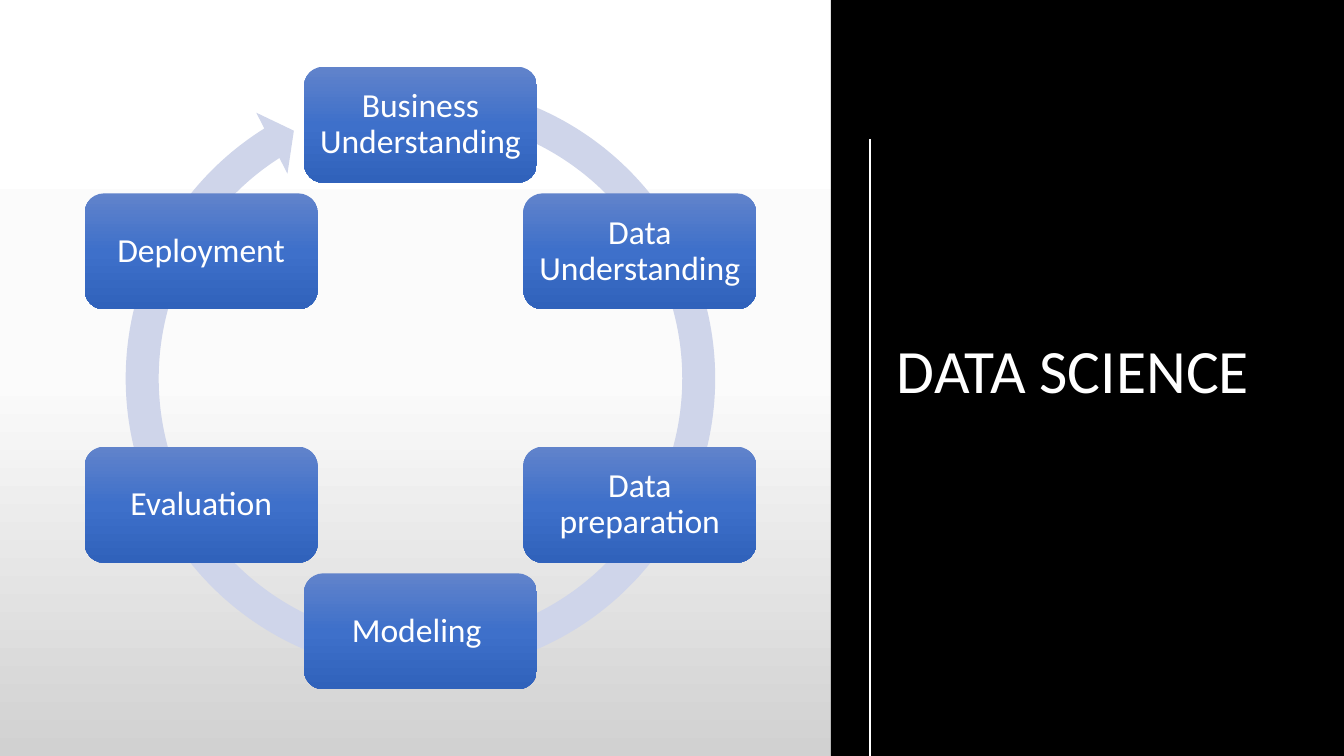
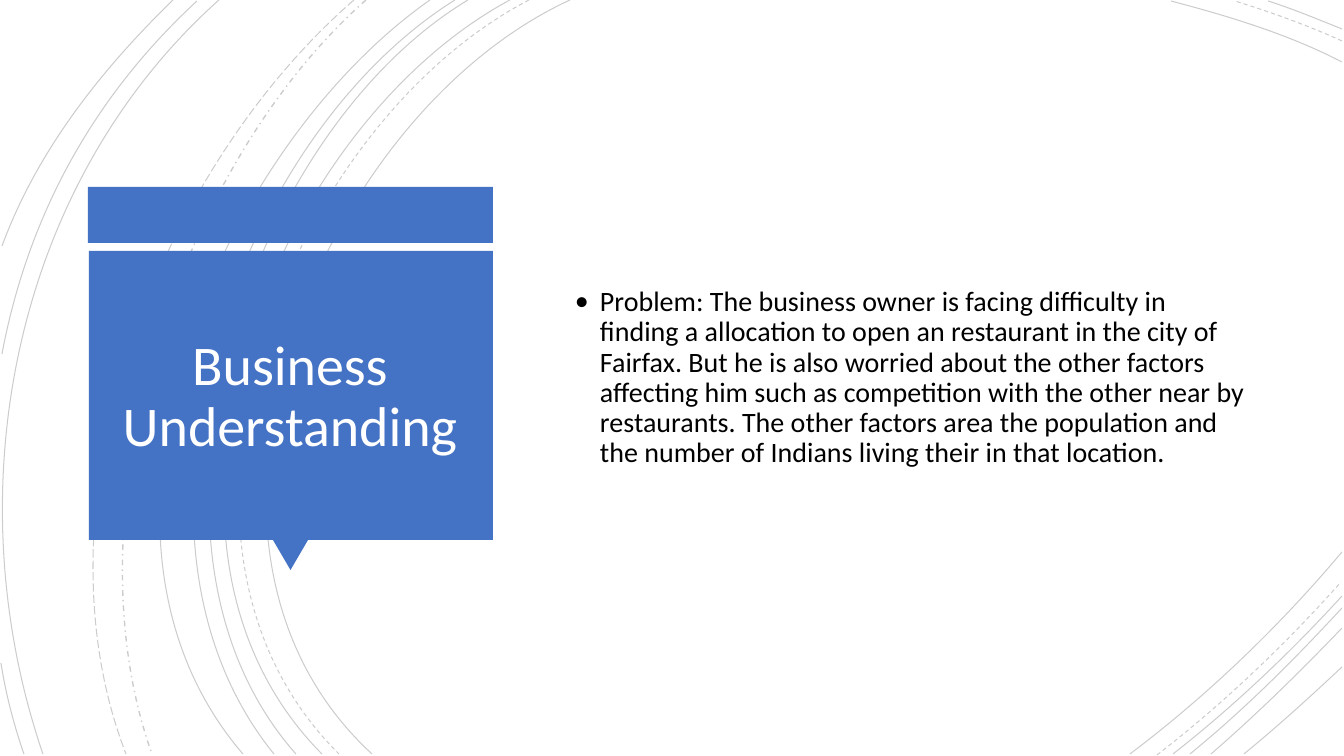
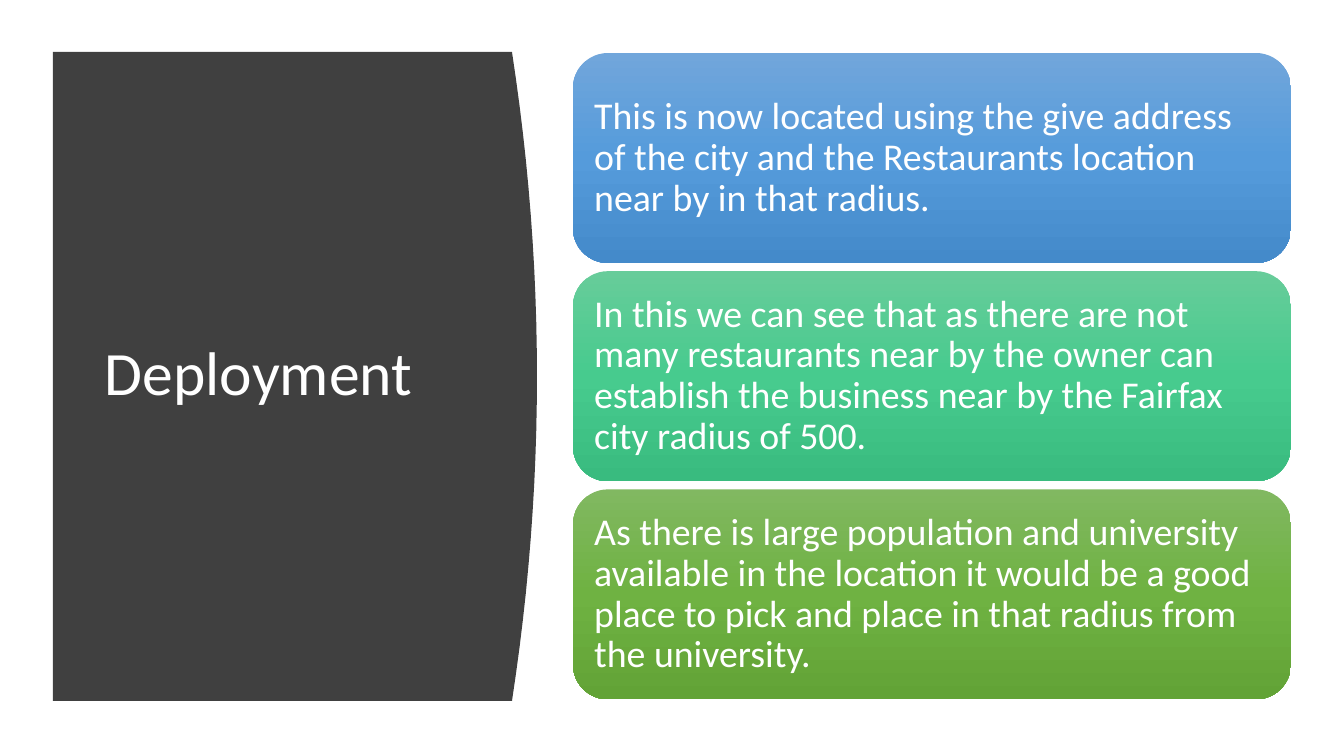
from copy import deepcopy
from dataclasses import dataclass
from math import cos, radians, sin

from pptx import Presentation as Deck
from pptx.dml.color import RGBColor as Color
from pptx.dml.fill import FillFormat as Fill
from pptx.enum.dml import MSO_LINE as Dash
from pptx.enum.shapes import MSO_CONNECTOR as Link, MSO_SHAPE as Kind
from pptx.enum.text import MSO_ANCHOR as Anchor, PP_ALIGN as Align
from pptx.oxml.ns import qn
from pptx.oxml.xmlchemy import OxmlElement as Tag
from pptx.shapes.autoshape import Shape
from pptx.slide import Slide
from pptx.util import Emu, Pt

SCALE = 914400 / 100.8
WIDE, HIGH = 1344, 756
FONT = "Calibri"

WHITE = Color(0xFF, 0xFF, 0xFF)
BLACK = Color(0x00, 0x00, 0x00)
BLUE = Color(0x44, 0x72, 0xC4)
RING = Color(0xCF, 0xD5, 0xEA)
SLATE = Color(0x40, 0x40, 0x40)

Point = tuple[float, float]
Box = tuple[float, float, float, float]
Shades = tuple[Color, Color, Color]

PAPER: Shades = (WHITE, Color(0xFB, 0xFB, 0xFB), Color(0xD1, 0xD1, 0xD1))
NODE: Shades = (Color(0x61, 0x83, 0xCB), Color(0x3E, 0x70, 0xCA), Color(0x30, 0x62, 0xBB))
SKY: Shades = (Color(0x71, 0xA6, 0xDB), Color(0x55, 0x9B, 0xDB), Color(0x44, 0x8A, 0xCA))
MINT: Shades = (Color(0x67, 0xCC, 0x9A), Color(0x47, 0xCB, 0x8E), Color(0x39, 0xBB, 0x7F))
LEAF: Shades = (Color(0x81, 0xB8, 0x61), Color(0x6F, 0xB2, 0x42), Color(0x62, 0xA3, 0x36))


@dataclass(frozen=True)
class Curve:
    """A cubic curve: start, two handles and end, with its pen."""

    start: Point
    pull: Point
    push: Point
    end: Point
    dash: Dash = Dash.SOLID
    width: float = 0.75


@dataclass(frozen=True)
class Card:
    """A rounded box with its words and shades."""

    words: str
    shades: Shades


STEPS = ("Business Understanding", "Data Understanding ", "Data preparation",
         "Modeling ", "Evaluation", "Deployment")

CURVES = (
    Curve((570, 0), (318, 116), (144, 544), (372, 754)),
    Curve((1342, 62), (1288, 34), (1228, 16), (1171, 1)),
    Curve((1130, 754), (1207, 696), (1279, 627), (1342, 552)),
    Curve((529, 0), (287, 126), (124, 541), (339, 754), Dash.DASH),
    Curve((1342, 41), (1307, 25), (1270, 12), (1235, 1), Dash.DASH),
    Curve((1157, 755), (1223, 704), (1285, 645), (1341, 582), Dash.DASH),
    Curve((510, 0), (272, 128), (111, 541), (322, 754)),
    Curve((1342, 29), (1317, 19), (1293, 9), (1268, 1)),
    Curve((1173, 754), (1233, 707), (1290, 653), (1342, 596)),
    Curve((468, 0), (246, 134), (111, 545), (296, 754)),
    Curve((1190, 754), (1244, 710), (1294, 660), (1342, 608)),
    Curve((455, 0), (233, 139), (98, 537), (274, 754)),
    Curve((1211, 754), (1256, 715), (1300, 672), (1342, 628)),
    Curve((430, 0), (219, 148), (53, 533), (243, 754)),
    Curve((1244, 754), (1277, 727), (1309, 698), (1342, 667)),
    Curve((366, 0), (177, 167), (66, 513), (152, 754), Dash.DASH_DOT, 1),
    Curve((354, 0), (158, 170), (29, 503), (126, 754), Dash.LONG_DASH),
    Curve((219, 0), (11, 186), (-46, 494), (43, 754)),
    Curve((197, 1), (93, 97), (28, 216), (2, 354)),
    Curve((1, 663), (6, 695), (14, 725), (24, 754)),
    Curve((173, 0), (101, 70), (37, 151), (2, 246)),
)

PROBLEM = (
    "Problem: The business owner is facing difficulty in finding a allocation to open an "
    "restaurant in the city of Fairfax. But he is also worried about the other factors "
    "affecting him such as competition with the other near by restaurants. The other factors "
    "area the population and the number of Indians living their in that location."
)

CARDS = (
    Card("This is now located using the give address of the city and the Restaurants "
         "location near by in that radius.", SKY),
    Card("In this we can see that as there are not many restaurants near by the owner can "
         "establish the business near by the Fairfax city radius of 500.", MINT),
    Card("As there is large population and university available in the location it would be "
         "a good place to pick and place in that radius from the university.", LEAF),
)


def px(size: float) -> Emu:
    """Turn pixels into EMU."""
    return Emu(round(size * SCALE))


def write(shape: Shape, words: str, *, size: float, color: Color = WHITE,
          align: Align = Align.LEFT, inset: tuple[int, int] = (10, 5),
          before: float = 0, bullet: str = "", hang: int = 25) -> None:
    """Put one formatted paragraph into a shape, centred in height."""
    frame = shape.text_frame
    frame.word_wrap = True
    frame.vertical_anchor = Anchor.MIDDLE
    frame.margin_left = frame.margin_right = px(inset[0])
    frame.margin_top = frame.margin_bottom = px(inset[1])
    para = frame.paragraphs[0]
    para.alignment = align
    para.line_spacing = 0.9
    para.space_before = Pt(before)
    run = para.add_run()
    run.text = words
    run.font.name, run.font.size = FONT, Pt(size)
    run.font.color.rgb = color
    if bullet:
        props = para._p.get_or_add_pPr()
        props.set("marL", str(px(hang)))
        props.set("indent", str(-px(hang)))
        for name, key, value in (("a:buFont", "typeface", FONT), ("a:buChar", "char", bullet)):
            mark = Tag(name)
            mark.set(key, value)
            props.append(mark)


def label(slide: Slide, box: Box, words: str, **style) -> None:
    """Add a text box; style goes on to write."""
    write(slide.shapes.add_textbox(*map(px, box)), words, **style)


def shade(fill: Fill, host: Slide | Shape, shades: Shades) -> None:
    """Fill from top to bottom with three even stops."""
    fill.gradient()
    fill.gradient_angle = 270
    stops = next(host.element.iter(qn("a:gsLst")))
    stops.append(deepcopy(stops[-1]))
    for place, (stop, color) in enumerate(zip(fill.gradient_stops, shades)):
        stop.position = place / 2
        stop.color.rgb = color


def block(slide: Slide, kind: Kind, box: Box, paint: Color | Shades) -> Shape:
    """Add a preset shape in one colour or in three shades, without outline."""
    shape = slide.shapes.add_shape(kind, *map(px, box))
    shape.shadow.inherit = False
    shape.line.fill.background()
    if isinstance(paint, Color):
        shape.fill.solid()
        shape.fill.fore_color.rgb = paint
    else:
        shade(shape.fill, shape, paint)
    return shape


def outline(slide: Slide, points: list[Point], close: bool) -> Shape:
    """Build a free shape through the points."""
    first, *rest = [(px(x), px(y)) for x, y in points]
    pen = slide.shapes.build_freeform(*first)
    pen.add_line_segments(rest, close=close)
    shape = pen.convert_to_shape()
    shape.shadow.inherit = False
    return shape


def draw(slide: Slide, curve: Curve) -> None:
    """Draw a faint curve, its three legs joined into one cubic."""
    shape = outline(slide, [curve.start, curve.pull, curve.push, curve.end], False)
    track = next(shape.element.iter(qn("a:path")))
    cubic = Tag("a:cubicBezTo")
    for leg in track.findall(qn("a:lnTo")):
        cubic.append(leg[0])
        track.remove(leg)
    track.append(cubic)
    shape.fill.background()
    shape.line.color.rgb = BLACK
    shape.line.width = Pt(curve.width)
    shape.line.dash_style = curve.dash
    alpha = Tag("a:alpha")
    alpha.set("val", "20000")
    next(shape.element.iter(qn("a:srgbClr"))).append(alpha)


def rule(slide: Slide, start: Point, end: Point) -> None:
    """Draw a straight white line."""
    line = slide.shapes.add_connector(Link.STRAIGHT, *map(px, start + end))
    line.line.color.rgb = WHITE
    line.line.width = Pt(2)
    line.element.spPr.append(Tag("a:effectLst"))


def cycle(slide: Slide) -> None:
    """Show the steps as a ring beside the black title panel."""
    shade(slide.background.fill, slide, PAPER)
    block(slide, Kind.RECTANGLE, (831, 0, 513, HIGH), BLACK)
    label(slide, (887, 139, 386, 469), "DATA SCIENCE", size=44)
    rule(slide, (870, 139), (870, HIGH))
    arrow = block(slide, Kind.CIRCULAR_ARROW, (108, 66, 625, 625), RING)
    for spot, value in enumerate((0.05274, 3.126, 142.636, 171.063, 0.05476)):
        arrow.adjustments[spot] = value
    wide, high, reach = 233, 116, 253.3
    for place, words in enumerate(STEPS):
        turn = radians(place * 360 / len(STEPS))
        left = 420.5 + reach * sin(turn) - wide / 2
        top = 378 - reach * cos(turn) - high / 2
        node = block(slide, Kind.ROUNDED_RECTANGLE, (left, top, wide, high), NODE)
        write(node, words, size=24, align=Align.CENTER, inset=(10, 10))


def problem(slide: Slide) -> None:
    """Show the problem beside a blue title sign over faint curves."""
    for curve in CURVES:
        draw(slide, curve)
    block(slide, Kind.RECTANGLE, (88, 187, 405, 56), BLUE)
    tip = block(slide, Kind.ISOSCELES_TRIANGLE, (273, 540, 35, 30), BLUE)
    tip.rotation = 180
    block(slide, Kind.RECTANGLE, (89, 251, 404, 289), BLUE)
    label(slide, (100, 266, 380, 264), "Business Understanding", size=40, align=Align.CENTER)
    label(slide, (565, 89, 692, 578), PROBLEM, size=20, color=BLACK, before=10, bullet="•")


def launch(slide: Slide) -> None:
    """Show three cards beside a dark panel with a bowed edge."""
    left, side, top, foot, bow, legs = 53, 512, 52, 701, 25, 24
    edge = [(side + bow * (1 - (2 * leg / legs - 1) ** 2), top + (foot - top) * leg / legs)
            for leg in range(legs + 1)]
    panel = outline(slide, [(left, top), *edge, (left, foot)], True)
    panel.fill.solid()
    panel.fill.fore_color.rgb = SLATE
    panel.line.fill.background()
    label(slide, (95, 112, 377, 528), "Deployment", size=44)
    for place, card in enumerate(CARDS):
        box = (573, 53 + place * 218.2, 718, 210)
        write(block(slide, Kind.ROUNDED_RECTANGLE, box, card.shades), card.words,
              size=27, inset=(11, 11))


def main() -> None:
    """Build the deck and save it."""
    deck = Deck()
    deck.slide_width, deck.slide_height = px(WIDE), px(HIGH)
    blank = deck.slide_layouts[6]
    for build in (cycle, problem, launch):
        build(deck.slides.add_slide(blank))
    deck.save("out.pptx")


main()
